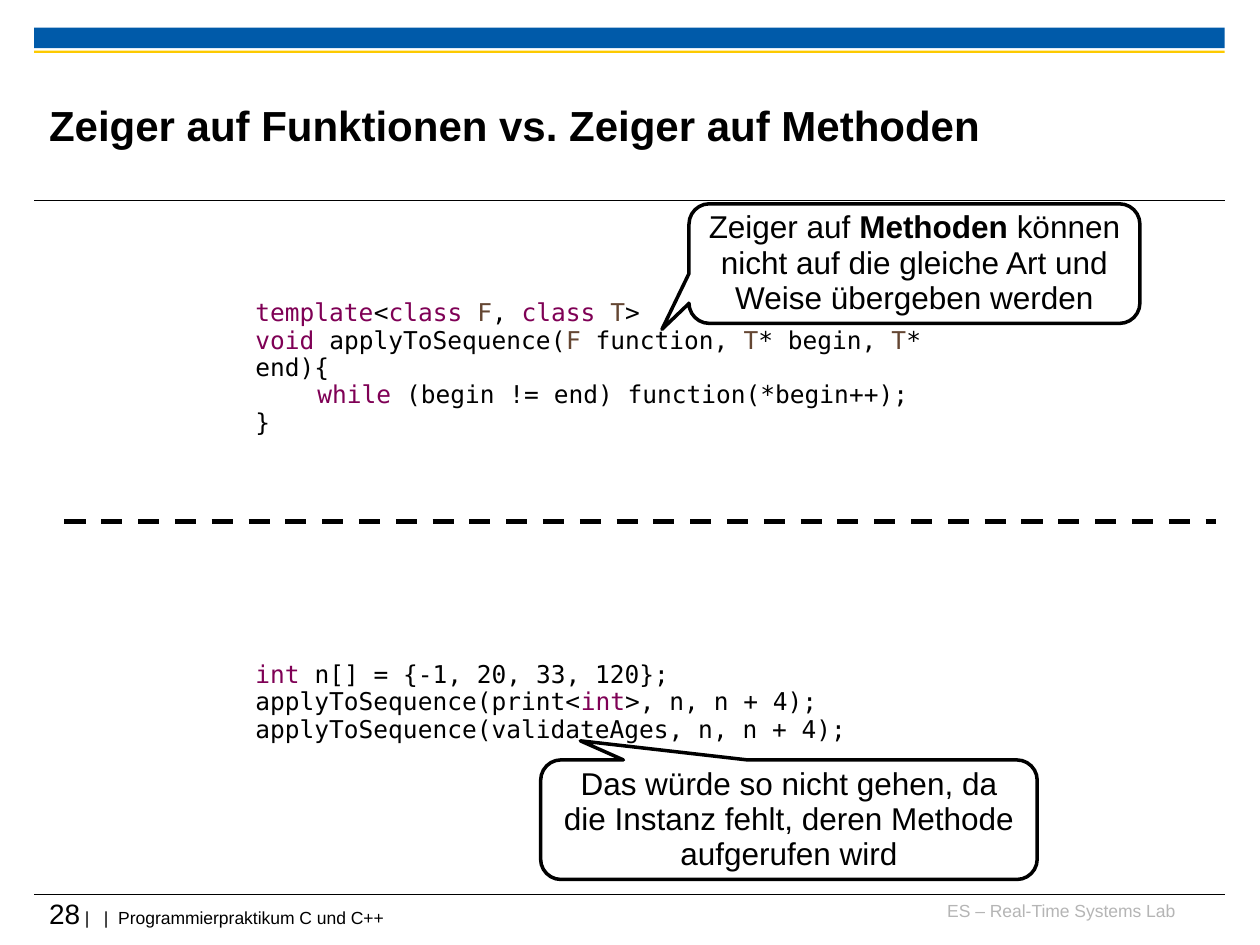
from dataclasses import dataclass

from lxml.etree import SubElement
from pptx import Presentation
from pptx.dml.color import RGBColor
from pptx.enum.dml import MSO_LINE_DASH_STYLE as Dash
from pptx.enum.shapes import MSO_CONNECTOR as Connector, MSO_SHAPE as Shape
from pptx.enum.text import MSO_ANCHOR as Anchor, PP_ALIGN as Align
from pptx.oxml.ns import qn
from pptx.util import Cm, Pt

COLORS = {
    "black": "000000",
    "white": "FFFFFF",
    "blue": "005AA9",
    "yellow": "FDCA00",
    "gray": "B5B5B5",
    "keyword": "7F0055",
    "type": "644632",
}
SANS = "Arial"
MONO = "DejaVu Sans Mono"
CODE_TAB = Cm(1.25)
CODE_SPACING = 0.93


@dataclass(frozen=True)
class Area:
    left: float
    top: float
    width: float
    height: float

    def lengths(self) -> tuple:
        return Cm(self.left), Cm(self.top), Cm(self.width), Cm(self.height)


@dataclass(frozen=True)
class Span:
    text: str
    size: float
    color: str = "black"
    bold: bool = False
    font: str = SANS


@dataclass(frozen=True)
class Label:
    area: Area
    spans: list
    align: Align = Align.LEFT
    anchor: Anchor = Anchor.TOP
    space_before: float = 0


@dataclass(frozen=True)
class Code:
    area: Area
    lines: list


@dataclass(frozen=True)
class Callout:
    area: Area
    tip: tuple
    spans: list


@dataclass(frozen=True)
class Rule:
    left: float
    right: float
    top: float
    weight: float = 0.6
    dashed: bool = False


def rgb(name: str) -> RGBColor:
    return RGBColor.from_string(COLORS[name])


def code(text: str, color: str = "black") -> Span:
    return Span(text, 14, color, font=MONO)


def keyword(text: str) -> Span:
    return code(text, "keyword")


def type_name(text: str) -> Span:
    return code(text, "type")


def add_spans(para, spans: list) -> None:
    for span in spans:
        run = para.add_run()
        run.text = span.text
        run.font.size = Pt(span.size)
        run.font.name = span.font
        run.font.bold = span.bold
        run.font.color.rgb = rgb(span.color)


def set_frame(frame, anchor: Anchor, side: float, edge: float) -> None:
    frame.word_wrap = True
    frame.vertical_anchor = anchor
    frame.margin_left = frame.margin_right = Cm(side)
    frame.margin_top = frame.margin_bottom = Cm(edge)


def draw_bar(page, area: Area, color: str) -> None:
    bar = page.shapes.add_shape(Shape.RECTANGLE, *area.lengths())
    bar.shadow.inherit = False
    bar.fill.solid()
    bar.fill.fore_color.rgb = rgb(color)
    bar.line.fill.background()


def draw_rule(page, rule: Rule) -> None:
    top = Cm(rule.top)
    line = page.shapes.add_connector(
        Connector.STRAIGHT, Cm(rule.left), top, Cm(rule.right), top)
    line.line.color.rgb = rgb("black")
    line.line.width = Pt(rule.weight)
    if rule.dashed:
        line.line.dash_style = Dash.DASH
    SubElement(line._element.spPr, qn("a:effectLst"))


def draw_label(page, label: Label) -> None:
    box = page.shapes.add_textbox(*label.area.lengths())
    set_frame(box.text_frame, label.anchor, 0, 0)
    para = box.text_frame.paragraphs[0]
    para.alignment = label.align
    para.space_before = Pt(label.space_before)
    add_spans(para, label.spans)


def draw_code(page, block: Code) -> None:
    frame = page.shapes.add_textbox(*block.area.lengths()).text_frame
    set_frame(frame, Anchor.TOP, 0.25, 0.13)
    for index, spans in enumerate(block.lines):
        para = frame.add_paragraph() if index else frame.paragraphs[0]
        para.line_spacing = CODE_SPACING
        tabs = SubElement(para._p.get_or_add_pPr(), qn("a:tabLst"))
        SubElement(tabs, qn("a:tab"), pos=str(int(CODE_TAB)), algn="l")
        add_spans(para, spans)


def draw_callout(page, callout: Callout) -> None:
    bubble = page.shapes.add_shape(
        Shape.ROUNDED_RECTANGULAR_CALLOUT, *callout.area.lengths())
    bubble.adjustments[0], bubble.adjustments[1] = callout.tip
    bubble.adjustments[2] = 0.17
    bubble.shadow.inherit = False
    bubble.fill.solid()
    bubble.fill.fore_color.rgb = rgb("white")
    bubble.line.color.rgb = rgb("black")
    bubble.line.width = Pt(2)
    set_frame(bubble.text_frame, Anchor.MIDDLE, 0.25, 0.13)
    para = bubble.text_frame.paragraphs[0]
    para.alignment = Align.CENTER
    para.line_spacing = CODE_SPACING
    add_spans(para, callout.spans)


BARS = [(Area(0.69, 0.56, 24, 0.41), "blue"), (Area(0.69, 1.02, 24, 0.05), "yellow")]
RULES = [Rule(0.69, 24.69, 4.04), Rule(0.69, 24.69, 18.03), Rule(1.3, 24.51, 10.52, 3, True)]
LABELS = [
    Label(Area(18.69, 18.14, 5, 0.64), [Span("ES – Real-Time Systems Lab", 10, "gray")],
          Align.RIGHT, space_before=6.2),
    Label(Area(0.99, 18.08, 23.7, 0.84),
          [Span("28", 16), Span(" |   |  Programmierpraktikum C und C++", 10)]),
    Label(Area(0.99, 1.35, 19.1, 2.34),
          [Span("Zeiger auf Funktionen vs. Zeiger auf Methoden", 24, bold=True)],
          anchor=Anchor.MIDDLE),
]
CODES = [
    Code(Area(4.9, 5.92, 14.6, 3.02), [
        [keyword("template"), code("<"), keyword("class "), type_name("F"), code(", "),
         keyword("class "), type_name("T"), code(">")],
        [keyword("void"), code(" applyToSequence("), type_name("F"), code(" function, "),
         type_name("T"), code("* begin, "), type_name("T"), code("* end){")],
        [keyword("\twhile"), code(" (begin != end) function(*begin++);")],
        [code("}")],
    ]),
    Code(Area(4.9, 13.21, 12.7, 1.9), [
        [keyword("int"), code(" n[] = {-1, 20, 33, 120};")],
        [code("applyToSequence(print<"), keyword("int"), code(">, n, n + 4);")],
        [code("applyToSequence(validateAges, n, n + 4);")],
    ]),
]
CALLOUTS = [
    Callout(Area(13.89, 4.11, 9.09, 2.41), (-0.56, 0.55), [
        Span("Zeiger auf ", 18), Span("Methoden", 18, bold=True),
        Span(" können nicht auf die gleiche Art und Weise übergeben werden", 18)]),
    Callout(Area(10.9, 15.32, 10.01, 2.41), (-0.42, -0.66), [
        Span("Das würde so nicht gehen, da die Instanz fehlt, deren Methode aufgerufen wird", 18)]),
]


def main() -> None:
    deck = Presentation()
    deck.slide_width, deck.slide_height = Cm(25.4), Cm(19.05)
    page = deck.slides.add_slide(deck.slide_layouts[6])
    for area, color in BARS:
        draw_bar(page, area, color)
    for draw, items in ((draw_rule, RULES), (draw_label, LABELS),
                        (draw_code, CODES), (draw_callout, CALLOUTS)):
        for item in items:
            draw(page, item)
    deck.save("out.pptx")


if __name__ == "__main__":
    main()
